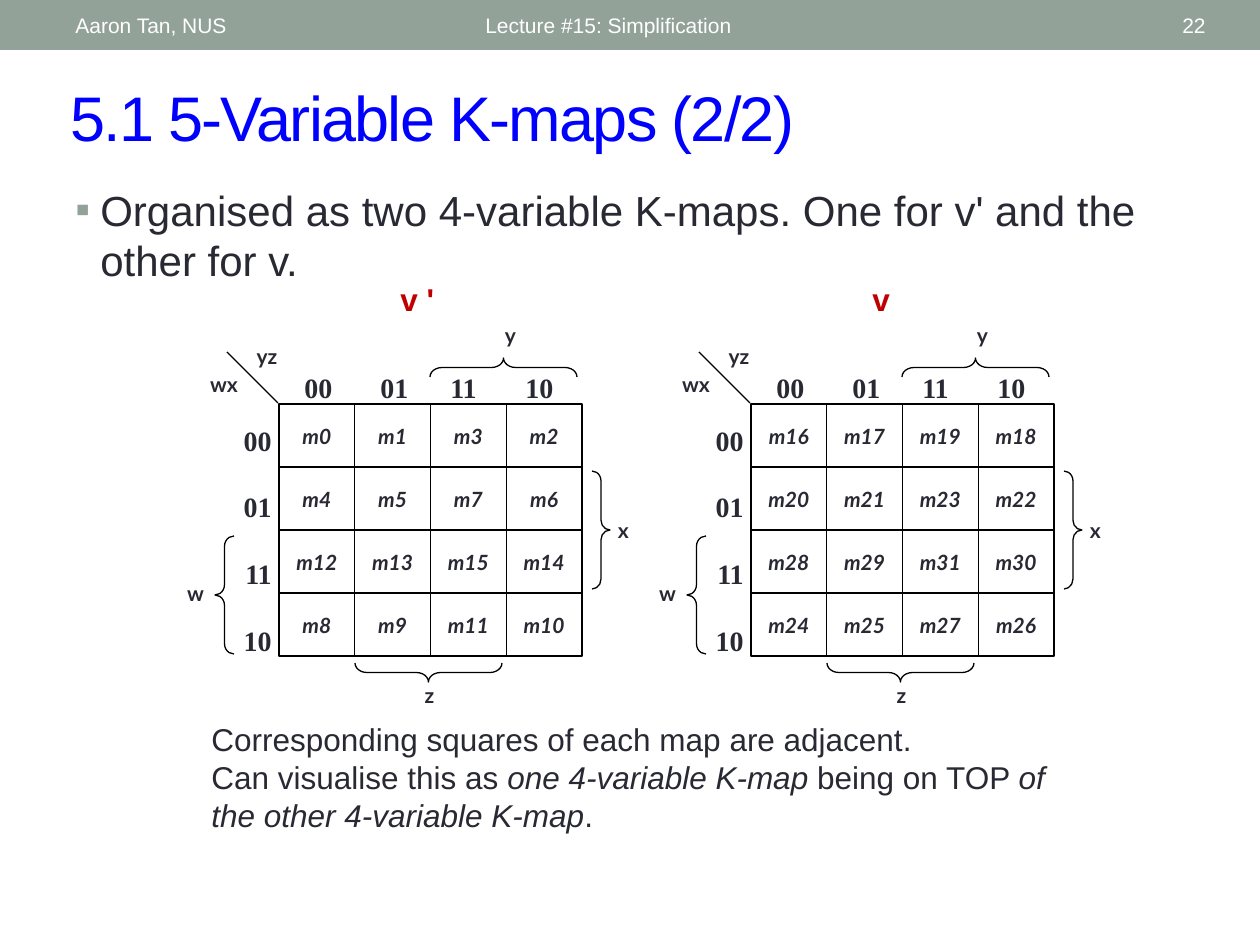
from pptx import Presentation
from pptx.dml.color import RGBColor
from pptx.enum.shapes import MSO_CONNECTOR, MSO_SHAPE
from pptx.enum.text import MSO_ANCHOR, PP_ALIGN
from pptx.oxml import parse_xml
from pptx.oxml.ns import nsdecls
from pptx.util import Pt

SCALE = 914400 // 126
BLACK = RGBColor(0, 0, 0)
WHITE = RGBColor(255, 255, 255)
SAGE = RGBColor(0x93, 0xA2, 0x99)
BLUE = RGBColor(0, 0, 255)
RED = RGBColor(0xC0, 0, 0)
INK = RGBColor(0x29, 0x29, 0x34)

LEFT, MID, RIGHT = PP_ALIGN.LEFT, PP_ALIGN.CENTER, PP_ALIGN.RIGHT
HEAD = dict(name="Arial", size=Pt(12), color=WHITE)
TITLE = dict(name="Arial", size=Pt(36), color=BLUE)
BODY = dict(name="Arial", size=Pt(24), color=INK)
NOTE = dict(name="Arial", size=Pt(18), color=INK)
NAME = dict(name="Arial", size=Pt(18), color=RED, bold=True)
VAR = dict(name="Lato", size=Pt(12), color=INK, bold=True)
TERM = dict(VAR, italic=True)
CODE = dict(name="Times New Roman", size=Pt(16), color=INK, bold=True)

HEADS = [
    ("Aaron Tan, NUS", 63, 400, LEFT),
    ("Lecture #15: Simplification", 473, 567, LEFT),
    ("22", 1099, 119, RIGHT),
]
POINT = "Organised as two 4-variable K-maps. One for v' and the other for v."
NOTES = [
    [("Corresponding squares of each map are adjacent.", False)],
    [("Can visualise this as ", False), ("one 4-variable K-map", True),
     (" being on TOP ", False), ("of the other 4-variable K-map", True),
     (".", False)],
]
GRAY = ["00", "01", "11", "10"]
ORDER = [0, 1, 3, 2]
MAPS = [("v '", 279, 0), ("v", 751, 16)]
TOP, WIDE, HIGH = 404, 303, 252
LABELS = [
    ("w", -111, 574, 55, 50), ("x", 317, 511, 55, 50),
    ("y", 204, 316, 55, 40), ("z", 123, 676, 55, 38),
    ("wx", -88, 365, 66, 45), ("yz", -45, 337, 66, 40),
]
BRACES = [
    (MSO_SHAPE.LEFT_BRACE, -64, 536, 19, 118, 0, 0.54),
    (MSO_SHAPE.RIGHT_BRACE, 313, 471, 18, 118, 0, 0.55),
    (MSO_SHAPE.LEFT_BRACE, 215, 294, 19, 147, 90, 0.63),
    (MSO_SHAPE.LEFT_BRACE, 140, 599, 19, 147, 270, 0.63),
]

deck = Presentation()
deck.slide_width, deck.slide_height = 1260 * SCALE, 945 * SCALE
slide = deck.slides.add_slide(deck.slide_layouts[6])
shapes = slide.shapes


def px(*vals):
    return [round(val * SCALE) for val in vals]


def style(font, form):
    for key, val in form.items():
        if key == "color":
            font.color.rgb = val
        else:
            setattr(font, key, val)


def label(place, lines, form, align=LEFT, anchor=MSO_ANCHOR.TOP, gap=0):
    frame = shapes.add_textbox(*px(*place)).text_frame
    frame.word_wrap = True
    frame.vertical_anchor = anchor
    for num, line in enumerate(lines):
        para = frame.paragraphs[0] if num == 0 else frame.add_paragraph()
        para.alignment = align
        para.space_before = Pt(gap if num else 0)
        for text, slant in [(line, None)] if isinstance(line, str) else line:
            run = para.add_run()
            run.text = text
            style(run.font, form if slant is None else dict(form, italic=slant))
    return frame.paragraphs[0]


def ink(shape):
    shape.line.color.rgb = BLACK
    shape.line.width = Pt(0.75)


def rule(*ends):
    line = shapes.add_connector(MSO_CONNECTOR.STRAIGHT, *px(*ends))
    ink(line)
    line._element.spPr.append(parse_xml(f'<a:effectLst {nsdecls("a")}/>'))
    return line


def outline(kind, *place):
    shape = shapes.add_shape(kind, *px(*place))
    shape.shadow.inherit = False
    shape.fill.background()
    ink(shape)
    return shape


def join(line, frame, start, end):
    line.begin_connect(frame, start)
    line.end_connect(frame, end)


def grid(left, base):
    frame = outline(MSO_SHAPE.RECTANGLE, left, TOP, WIDE, HIGH)
    dx, dy = WIDE / 4, HIGH / 4
    for num in range(1, 5):
        y = TOP + num * dy
        flat = rule(left, y, left + WIDE, y)
        if num < 4:
            x = left + num * dx
            tall = rule(x, TOP, x, TOP + HIGH)
        if num == 2:
            join(flat, frame, 1, 3)
            join(tall, frame, 0, 2)
    for row, high in enumerate(ORDER):
        for col, low in enumerate(ORDER):
            label((left + col * dx, TOP + 13 + row * dy, dx, 50),
                  [f"m{base + 4 * high + low}"], TERM, MID)


def kmap(name, left, base):
    grid(left, base)
    rule(left - 1, 403, left - 52, 352)
    label((left + 109, 274, 66, 50), [name], NAME)
    label((left - 51, 417, 56, 261), GRAY, CODE, RIGHT, gap=19)
    para = label((left + 13, 364, 282, 50), ["\t".join(GRAY)], CODE)
    stops = "".join(f'<a:tab pos="{px(x)[0]}" algn="l"/>' for x in (76, 146, 221))
    para._p.get_or_add_pPr().append(
        parse_xml(f'<a:tabLst {nsdecls("a")}>{stops}</a:tabLst>'))
    for text, x, *place in LABELS:
        label((left + x, *place), [text], VAR, MID)
    for kind, x, y, wide, high, turn, bend in BRACES:
        shape = outline(kind, left + x, y, wide, high)
        shape.rotation = turn
        shape.adjustments[0] = bend


band = shapes.add_shape(MSO_SHAPE.RECTANGLE, *px(0, 0, 1260, 50))
band.shadow.inherit = False
band.fill.solid()
band.fill.fore_color.rgb = SAGE
band.line.fill.background()
for text, x, wide, align in HEADS:
    label((x, 3, wide, 45), [text], HEAD, align, MSO_ANCHOR.MIDDLE)

title = label((58, 72, 1143, 88), ["5.1 5-Variable K-maps (2/2)"], TITLE,
              anchor=MSO_ANCHOR.MIDDLE)
title.runs[0]._r.get_or_add_rPr().set("spc", "-100")

point = label((63, 178, 1134, 126), [POINT], BODY)
props = point._p.get_or_add_pPr()
props.set("marL", str(px(25)[0]))
props.set("indent", str(-px(25)[0]))
for mark in (f'<a:buClr {nsdecls("a")}><a:srgbClr val="{SAGE}"/></a:buClr>',
             f'<a:buFont {nsdecls("a")} typeface="Arial"/>',
             f'<a:buChar {nsdecls("a")} char="▪"/>'):
    props.append(parse_xml(mark))

for item in MAPS:
    kmap(*item)
label((199, 714, 892, 126), NOTES, NOTE)
deck.save("out.pptx")
